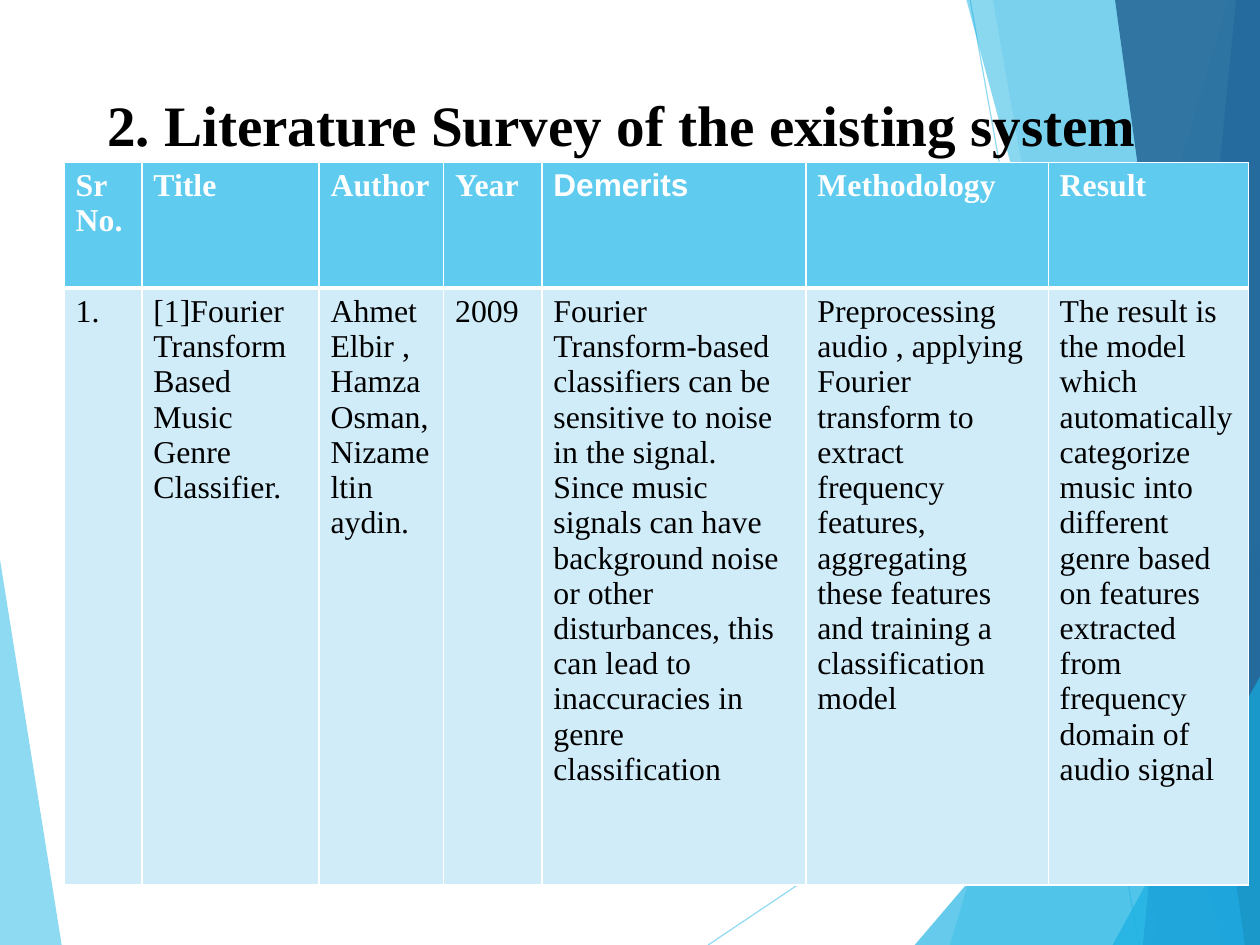
"""Build the literature survey slide with its faceted background and table."""
from lxml.etree import SubElement
from pptx import Presentation
from pptx.dml.color import RGBColor
from pptx.enum.shapes import MSO_CONNECTOR as Connector
from pptx.enum.text import MSO_ANCHOR as Anchor, PP_ALIGN as Align
from pptx.oxml.ns import qn
from pptx.util import Cm, Inches, Pt

WIDTH, HEIGHT = Cm(28), Cm(21)
SERIF, SANS = "Times New Roman", "Arial"
BLACK = RGBColor(0x00, 0x00, 0x00)
WHITE = RGBColor(0xFF, 0xFF, 0xFF)
SKY = RGBColor(0x5F, 0xCB, 0xEF)
PALE = RGBColor(0xD1, 0xEC, 0xF9)
AZURE = RGBColor(0x16, 0xB0, 0xE3)
BLUE = RGBColor(0x2E, 0x83, 0xC3)
NAVY = RGBColor(0x22, 0x62, 0x92)

LEFT_FACET = ([(0, 59.2), (4.9, 100), (0, 100)], SKY, 70)
RAYS = [((56.2, 100), (100, 60.8)), ((77, 0), (90.4, 100))]
RIGHT_FACETS = [
    ([(97.5, 0), (75.4, 100), (100, 100), (100, 0)], SKY, 36),
    ([(78.8, 0), (92, 100), (100, 100), (100, 0)], SKY, 20),
    ([(72.6, 100), (100, 57.2), (100, 100)], AZURE, 66),
    ([(76.7, 0), (97, 100), (100, 100), (100, 0)], AZURE, 50),
    ([(98.1, 0), (90.7, 100), (100, 100), (100, 0)], BLUE, 70),
    ([(88.5, 0), (98.8, 100), (100, 100), (100, 0)], NAVY, 82),
    ([(88.3, 100), (100, 71.6), (100, 100)], AZURE, 66),
]

COLUMN_WIDTHS = [0.68, 1.55, 1.09, 0.86, 2.31, 2.12, 1.75]
ROW_HEIGHTS = [1.1, 5.22]
HEADINGS = ["Sr No.", "Title", "Author", "Year", "Demerits", "Methodology", "Result"]
SURVEY = [
    "1.",
    "[1]Fourier Transform Based Music Genre Classifier.",
    "Ahmet Elbir , Hamza Osman,\nNizameltin aydin.",
    "2009",
    "Fourier Transform-based classifiers can be sensitive to noise in the signal. "
    "Since music signals can have background noise or other disturbances, this can "
    "lead to inaccuracies in genre classification",
    "Preprocessing audio , applying Fourier transform to extract frequency features, "
    "aggregating these features and training a classification model",
    "The result is the model which automatically categorize music into different "
    "genre based on features extracted from frequency domain of audio signal",
]


def at(point):
    """Turn a point in percent of the slide into lengths."""
    x, y = point
    return round(WIDTH * x / 100), round(HEIGHT * y / 100)


def set_opacity(shape, percent):
    """Give every colour of a shape the same opacity."""
    for colour in shape.element.spPr.iter(qn("a:srgbClr")):
        SubElement(colour, qn("a:alpha")).set("val", str(percent * 1000))


def add_facet(slide, corners, colour, opacity):
    """Draw one translucent polygon of the background."""
    start, *others = map(at, corners)
    builder = slide.shapes.build_freeform(*start)
    builder.add_line_segments(others, close=True)
    facet = builder.convert_to_shape()
    facet.shadow.inherit = False
    facet.fill.solid()
    facet.fill.fore_color.rgb = colour
    facet.line.fill.background()
    set_opacity(facet, opacity)


def add_ray(slide, start, end):
    """Draw one thin translucent line of the background."""
    ray = slide.shapes.add_connector(Connector.STRAIGHT, *at(start), *at(end))
    ray.line.color.rgb = SKY
    ray.line.width = Pt(0.75)
    set_opacity(ray, 70)
    SubElement(ray.element.spPr, qn("a:effectLst"))


def style_text(frame, colour, size, bold, font=SERIF):
    """Set one font on all paragraphs of a text frame."""
    for paragraph in frame.paragraphs:
        paragraph.alignment = Align.LEFT
        paragraph.font.name = font
        paragraph.font.size = Pt(size)
        paragraph.font.bold = bold
        paragraph.font.color.rgb = colour


def set_borders(cell, bottom):
    """Draw white borders around a cell, with its own bottom weight."""
    properties = cell._tc.get_or_add_tcPr()
    for side, weight in zip("LRTB", (1, 1, 1, bottom)):
        border = SubElement(properties, qn(f"a:ln{side}"), w=str(Pt(weight)))
        fill = SubElement(border, qn("a:solidFill"))
        SubElement(fill, qn("a:srgbClr"), val=str(WHITE))


def fill_row(row, texts, background, colour, bold, bottom):
    """Write and style the cells of one table row."""
    for cell, text in zip(row.cells, texts):
        cell.text = text
        set_borders(cell, bottom)
        cell.fill.solid()
        cell.fill.fore_color.rgb = background
        style_text(cell.text_frame, colour, 20, bold)


def add_survey(slide):
    """Add the survey table and return its frame."""
    frame = slide.shapes.add_table(
        len(ROW_HEIGHTS), len(COLUMN_WIDTHS), *at((5.1, 17.2)),
        Inches(sum(COLUMN_WIDTHS)), Inches(sum(ROW_HEIGHTS)))
    table = frame.table
    table.horz_banding = False
    for column, width in zip(table.columns, COLUMN_WIDTHS):
        column.width = Inches(width)
    for row, height in zip(table.rows, ROW_HEIGHTS):
        row.height = Inches(height)
    header, entry = table.rows
    fill_row(header, HEADINGS, SKY, WHITE, True, 3)
    fill_row(entry, SURVEY, PALE, BLACK, False, 1)
    demerits = header.cells[HEADINGS.index("Demerits")]
    style_text(demerits.text_frame, WHITE, 19.9, True, SANS)
    return frame


def set_heading(heading, text):
    """Place and format the title placeholder."""
    heading.left, heading.top = at((6.5, 8.8))
    heading.width, heading.height = at((90.2, 19.2))
    heading.text = text
    frame = heading.text_frame
    frame.word_wrap = True
    frame.vertical_anchor = Anchor.TOP
    frame.margin_left = Inches(0.22)
    frame.margin_top = Inches(0.05)
    style_text(frame, BLACK, 36, True)


def main():
    """Build and save the slide."""
    deck = Presentation()
    deck.slide_width, deck.slide_height = WIDTH, HEIGHT
    slide = deck.slides.add_slide(deck.slide_layouts.get_by_name("Title Only"))
    add_facet(slide, *LEFT_FACET)
    for ray in RAYS:
        add_ray(slide, *ray)
    for facet in RIGHT_FACETS:
        add_facet(slide, *facet)
    survey = add_survey(slide)
    heading = slide.shapes.title
    set_heading(heading, "2. Literature Survey of the existing system")
    survey.element.addprevious(heading.element)
    deck.save("out.pptx")


if __name__ == "__main__":
    main()
